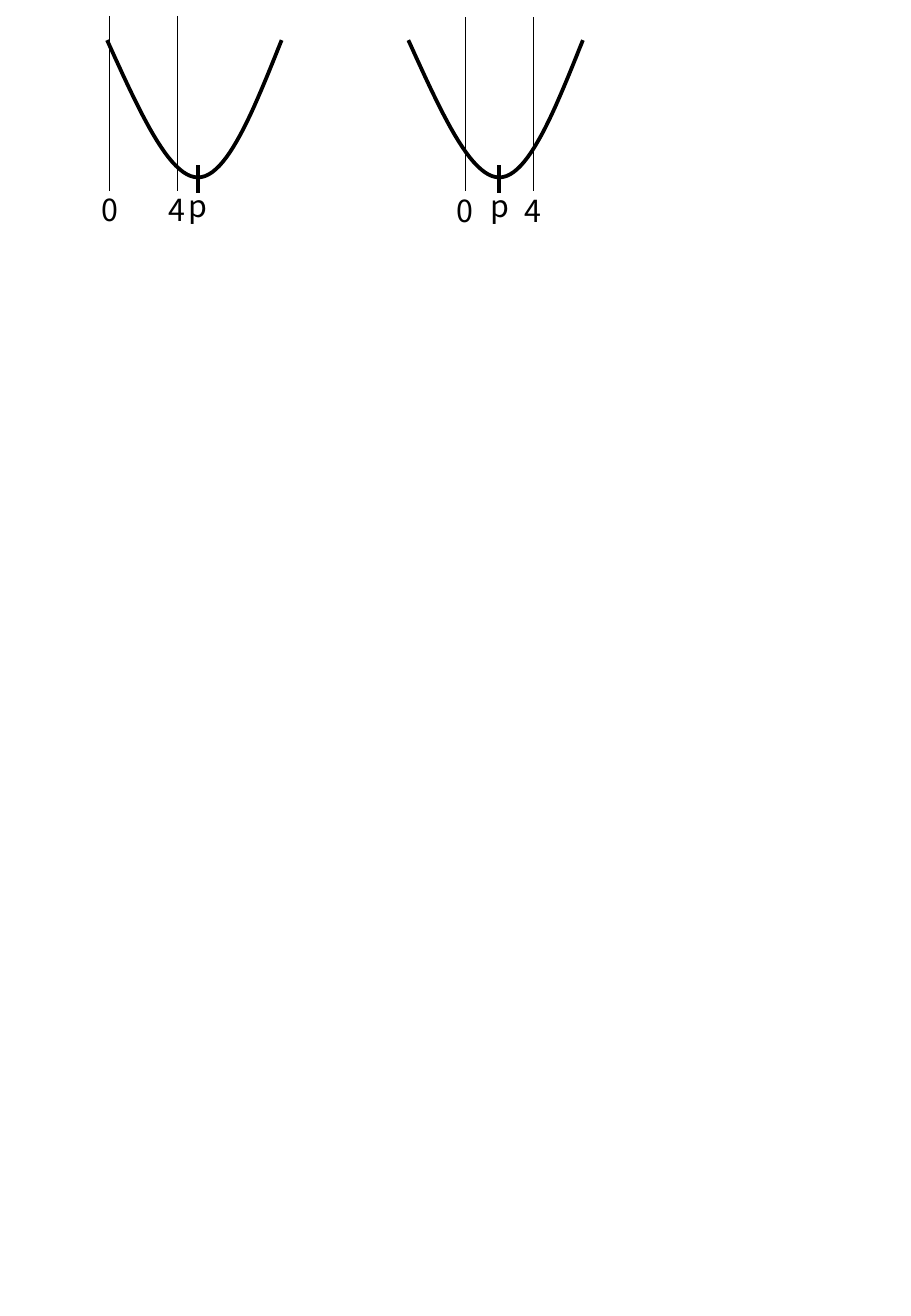
from lxml.etree import SubElement
from pptx import Presentation
from pptx.dml.color import RGBColor
from pptx.enum.shapes import MSO_CONNECTOR
from pptx.enum.text import MSO_AUTO_SIZE, PP_ALIGN
from pptx.oxml.ns import qn
from pptx.util import Cm, Pt

# Content: each graph has a vertex p and the bounds 0 and 4 (cm)
GRAPHS = [
    {"vertex": 4.14, "bounds": [("0", 2.29), ("4", 3.71)], "bound_top": 0.33},
    {"vertex": 10.44, "bounds": [("0", 9.73), ("4", 11.15)], "bound_top": 0.36},
]
FONT, INK = "Noto Sans CJK JP", "000000"
VERTEX_Y = 3.71
TICK_TOP, TICK_BOTTOM = 3.45, 4.04
BOUND_BOTTOM = 3.99
VERTEX_LABEL_TOP, BOUND_LABEL_DROP = 3.78, 3.54
LABEL_WIDTH, LABEL_HEIGHT = 0.88, 1.02
THICK, THIN = 2.25, 0.75

# Bezier arms: start, two controls and end, as (right of, above) the vertex
ARMS = [
    [(1.75, 2.87), (1.17, 1.42), (0.61, 0), (0, 0)],
    [(0, 0), (-0.61, 0), (-1.24, 1.42), (-1.9, 2.87)],
]
STEPS = 24

deck = Presentation()
deck.slide_width, deck.slide_height = Cm(19.05), Cm(27.51)
page = deck.slides.add_slide(deck.slide_layouts[6])


def colour(value):
    return RGBColor.from_string(value)


def style_line(shape, width):
    shape.line.color.rgb = colour(INK)
    shape.line.width = Pt(width)


def bezier(points, t):
    weights = [(1 - t) ** 3, 3 * t * (1 - t) ** 2, 3 * t ** 2 * (1 - t), t ** 3]
    return [sum(w * value for w, value in zip(weights, axis)) for axis in zip(*points)]


def add_parabola(vertex_x):
    offsets = [bezier(arm, step / STEPS) for arm in ARMS for step in range(STEPS + 1)]
    points = [(Cm(vertex_x + dx), Cm(VERTEX_Y - dy)) for dx, dy in offsets]
    builder = page.shapes.build_freeform(*points[0])
    builder.add_line_segments(points[1:], close=False)
    curve = builder.convert_to_shape()
    curve.shadow.inherit = False
    curve.fill.background()
    style_line(curve, THICK)


def add_vertical(x, top, bottom, width):
    line = page.shapes.add_connector(
        MSO_CONNECTOR.STRAIGHT, Cm(x), Cm(top), Cm(x), Cm(bottom))
    style_line(line, width)
    SubElement(line._element.spPr, qn("a:effectLst"))


def add_label(text, x, top):
    box = page.shapes.add_textbox(
        Cm(x - LABEL_WIDTH / 2), Cm(top), Cm(LABEL_WIDTH), Cm(LABEL_HEIGHT))
    frame = box.text_frame
    frame.word_wrap = False
    frame.auto_size = MSO_AUTO_SIZE.SHAPE_TO_FIT_TEXT
    para = frame.paragraphs[0]
    para.alignment = PP_ALIGN.CENTER
    span = para.add_run()
    span.text = text
    span.font.name, span.font.size = FONT, Pt(18)
    span.font.color.rgb = colour(INK)


for graph in GRAPHS:
    # Parabola with its vertex mark
    add_parabola(graph["vertex"])
    add_vertical(graph["vertex"], TICK_TOP, TICK_BOTTOM, THICK)
    add_label("p", graph["vertex"], VERTEX_LABEL_TOP)

    # Bounds of the interval
    for name, x in graph["bounds"]:
        add_vertical(x, graph["bound_top"], BOUND_BOTTOM, THIN)
        add_label(name, x, graph["bound_top"] + BOUND_LABEL_DROP)

deck.save("out.pptx")
